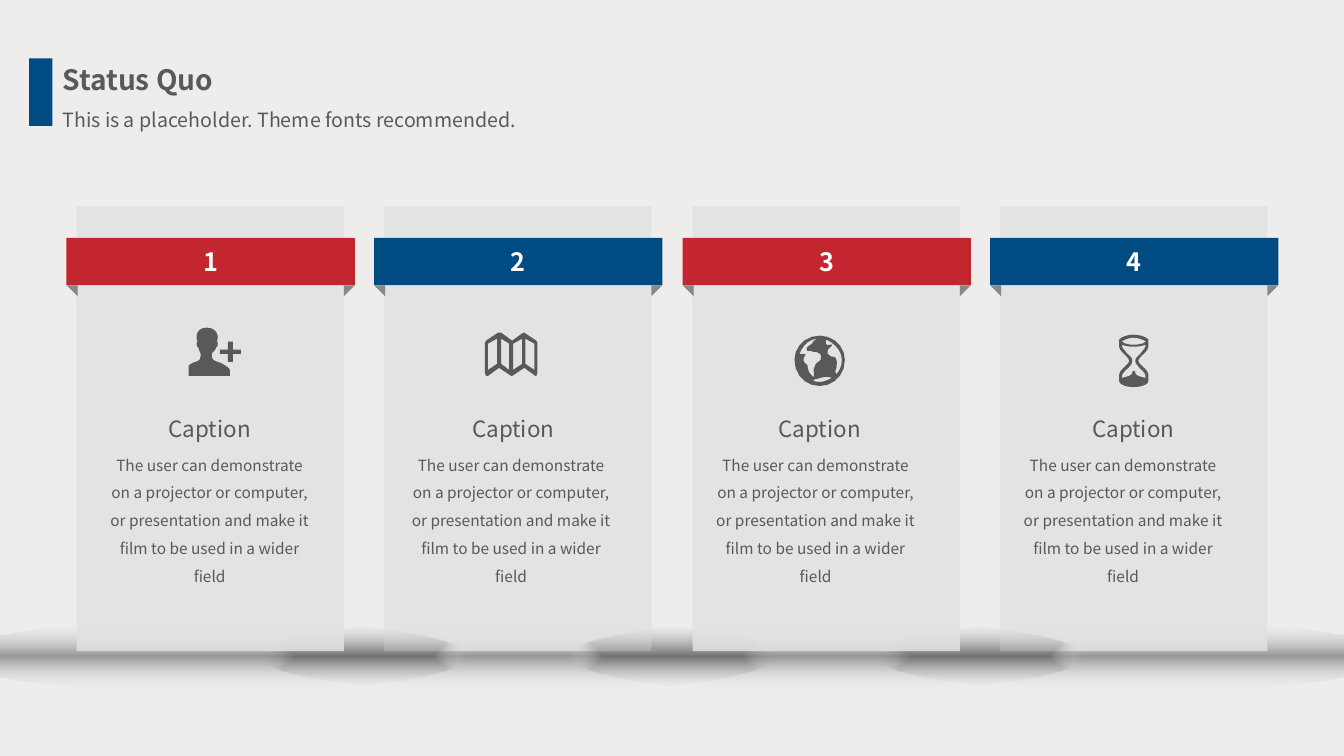
from lxml.etree import SubElement
from pptx import Presentation
from pptx.dml.color import RGBColor
from pptx.enum.shapes import MSO_SHAPE as SHAPE
from pptx.enum.text import MSO_ANCHOR as ANCHOR, PP_ALIGN as ALIGN
from pptx.oxml import parse_xml
from pptx.oxml.ns import nsdecls, qn
from pptx.util import Pt

PX = 9144
FONT = "Noto Sans CJK SC"
GRAY, BLUE, RED, WHITE = "595959", "004B82", "C3262F", "FFFFFF"
BODY = ("The user can demonstrate on a projector or computer, "
        "or presentation and make it film to be used in a wider field")
GLOW = f"""<a:gradFill {nsdecls('a')} rotWithShape="1"><a:gsLst>
<a:gs pos="0"><a:srgbClr val="595959"><a:alpha val="58000"/></a:srgbClr></a:gs>
<a:gs pos="100000"><a:srgbClr val="FCFCFC"><a:alpha val="0"/></a:srgbClr></a:gs>
</a:gsLst><a:path path="shape"><a:fillToRect l="50000" t="50000" r="50000" b="50000"/></a:path>
</a:gradFill>"""

person = [
    [(32, 35), (25, 33, 23, 32, 23, 27), (23, 24, 25, 25, 27, 21), (27, 18, 29, 21, 29, 16),
     (29, 14, 28, 14, 28, 14), (28, 14, 29, 12, 29, 9), (29, 7, 27, 0, 18, 0),
     (9, 0, 8, 7, 8, 9), (8, 12, 9, 14, 9, 14), (9, 14, 8, 14, 8, 16),
     (8, 21, 10, 18, 10, 21), (11, 25, 12, 24, 12, 27), (12, 32, 11, 33, 4, 35),
     (3, 36, 1, 36, 0, 38), (0, 48), (41, 48), (41, 48, 41, 44, 41, 42), (41, 41, 39, 39, 32, 35)],
    [(44, 22), (44, 14), (39, 14), (39, 22), (31, 22), (31, 26),
     (39, 26), (39, 34), (44, 34), (44, 26), (52, 26), (52, 22)],
]
folded_map = [
    [(51, 8), (39, 0), (38, 0), (27, 8), (16, 0), (13, 0), (1, 8), (0, 10), (0, 40), (1, 43),
     (3, 43), (14, 35), (26, 43), (27, 43), (39, 35), (50, 43), (51, 43), (52, 40), (52, 10)],
]
for left, right, rise in [(3, 12, 6), (16, 24, 0), (28, 37, 6), (40, 49, 0)]:
    folded_map.append([(left, 5 + rise + (rise == 0)), (right, 11 - (5 if rise else 0)),
                       (right, 31 if rise else 37), (left, 37 if rise else 31)])
globe = [
    [(25, 0), (11, 0, 0, 11, 0, 24), (0, 39, 11, 50, 25, 50),
     (39, 50, 50, 39, 50, 24), (50, 11, 39, 0, 25, 0)],
    [(47, 24), (47, 30, 45, 34, 42, 38), (41, 38, 40, 35, 41, 34), (42, 32, 42, 28, 42, 26),
     (42, 25, 41, 21, 39, 21), (37, 21, 36, 21, 33, 18), (31, 12, 39, 11, 37, 9),
     (36, 8, 31, 12, 31, 6), (31, 5, 31, 5, 32, 4), (40, 8, 47, 15, 47, 24)],
    [(22, 3), (21, 4, 20, 5, 19, 5), (18, 8, 17, 8, 16, 9), (14, 10, 12, 12, 12, 13),
     (12, 14, 13, 16, 14, 15), (14, 15, 17, 15, 18, 16), (20, 16, 29, 16, 26, 24),
     (25, 26, 21, 26, 20, 31), (20, 31, 19, 33, 19, 34), (19, 35, 20, 41, 19, 41),
     (18, 41, 14, 36, 14, 35), (14, 34, 13, 32, 13, 30), (13, 28, 9, 28, 9, 24),
     (9, 21, 11, 20, 11, 19), (10, 18, 7, 18, 5, 18), (8, 10, 14, 4, 22, 3)],
    [(18, 45), (20, 44, 20, 43, 21, 43), (22, 43, 23, 43, 25, 42), (26, 42, 29, 41, 31, 41),
     (32, 41, 36, 41, 37, 42), (33, 44, 29, 46, 25, 46), (22, 46, 20, 45, 18, 45)],
]
hourglass = [
    [(29, 12), (29, 6, 29, 5, 29, 5), (29, 4, 23, 0, 14, 0), (6, 0, 0, 4, 0, 5), (0, 12),
     (0, 17, 10, 22, 10, 26), (10, 30, 0, 34, 0, 40), (0, 46), (0, 49, 6, 52, 14, 52),
     (23, 52, 29, 49, 29, 46), (29, 40), (29, 34, 19, 30, 19, 26), (19, 22, 29, 17, 29, 12)],
    [(4, 6), (5, 5, 10, 3, 14, 3), (20, 3, 25, 6, 25, 6), (25, 6, 27, 6, 26, 7),
     (24, 9, 20, 10, 14, 10), (10, 10, 5, 9, 3, 7), (2, 6, 4, 6, 4, 6)],
    [(16, 26), (16, 29, 19, 31, 21, 34), (23, 35, 26, 39, 26, 40), (26, 43),
     (23, 42, 16, 41, 16, 38), (16, 35, 13, 35, 13, 38), (13, 41, 5, 42, 3, 43), (3, 40),
     (3, 39, 6, 35, 8, 34), (11, 31, 13, 29, 13, 26), (13, 23, 11, 21, 8, 19),
     (6, 16, 3, 13, 3, 12), (3, 10), (5, 11, 10, 12, 14, 12), (20, 12, 23, 11, 26, 10),
     (26, 12), (26, 13, 23, 16, 21, 19), (19, 21, 16, 23, 16, 26)],
]

prs = Presentation()
prs.slide_width, prs.slide_height = 1333 * PX, 750 * PX
s = prs.slides.add_slide(prs.slide_layouts[6])
s.background.fill.solid()
s.background.fill.fore_color.rgb = RGBColor.from_string("EEEDEB")


def add_box(kind, x, y, w, h, color, alpha=100):
    sp = s.shapes.add_shape(kind, x * PX, y * PX, w * PX, h * PX)
    sp.shadow.inherit = False
    sp.line.fill.background()
    sp.fill.solid()
    sp.fill.fore_color.rgb = RGBColor.from_string(color)
    if alpha < 100:
        clr = sp._element.spPr.find(".//" + qn("a:srgbClr"))
        SubElement(clr, qn("a:alpha")).set("val", str(alpha * 1000))
    return sp


def write(sp, text, size, color=GRAY, bold=False, align=ALIGN.CENTER, spacing=None):
    tf = sp.text_frame
    tf.word_wrap = True
    p = tf.paragraphs[0]
    p.text = text
    p.alignment = align
    p.line_spacing = spacing
    p.font.name = FONT
    p.font.size = Pt(size)
    p.font.bold = bold
    p.font.color.rgb = RGBColor.from_string(color)


cards = [
    (1, BLUE, folded_map, 100, 330, 37, 13),
    (0, RED, person, 111, 325, 41, 19),
    (3, BLUE, hourglass, 118, 332, 41, 9),
    (2, RED, globe, 101, 333, 35, 9),
]
for i, color, icon, icon_dx, icon_y, caption_dx, body_dx in cards:
    x = 76 + round(916 * i / 3)
    glow = add_box(SHAPE.OVAL, x - 123, 616, 511, 70, GRAY)
    spPr = glow._element.spPr
    spPr.replace(spPr.find(qn("a:solidFill")), parse_xml(GLOW))
    add_box(SHAPE.RECTANGLE, x, 205, 265, 441, "E2E2E2", 85)
    for fold_x, angle in [(x - 10, 180), (x + 265, 90)]:
        fold = add_box(SHAPE.RIGHT_TRIANGLE, fold_x, 283, 11, 11, "525252", 65)
        fold.rotation = angle
    banner = add_box(SHAPE.RECTANGLE, x - 10, 236, 286, 47, color)
    banner.text_frame.vertical_anchor = ANCHOR.MIDDLE
    write(banner, str(i + 1), 18, WHITE, True)
    caption = s.shapes.add_textbox((x + caption_dx) * PX, 407 * PX, 182 * PX, 37 * PX)
    write(caption, "Caption", 16)
    body = s.shapes.add_textbox((x + body_dx) * PX, 438 * PX, 226 * PX, 146 * PX)
    write(body, BODY, 11, spacing=1.5)

    builder = None
    for start, *segments in icon:
        points = [start]
        for seg in segments:
            if len(seg) == 2:
                points.append(seg)
                continue
            ax, ay = points[-1]
            bx, by, cx, cy, dx, dy = seg
            for t in (0.2, 0.4, 0.6, 0.8, 1):
                u = 1 - t
                points.append((
                    u**3 * ax + 3 * u * u * t * bx + 3 * u * t * t * cx + t**3 * dx,
                    u**3 * ay + 3 * u * u * t * by + 3 * u * t * t * cy + t**3 * dy))
        points = [(px * PX, py * PX) for px, py in points]
        if builder is None:
            builder = s.shapes.build_freeform(*points[0])
        else:
            builder.move_to(*points[0])
        builder.add_line_segments(points[1:], close=True)
    sp = builder.convert_to_shape((x + icon_dx) * PX, icon_y * PX)
    sp.shadow.inherit = False
    sp.line.fill.background()
    sp.fill.solid()
    sp.fill.fore_color.rgb = RGBColor.from_string(GRAY)

add_box(SHAPE.RECTANGLE, 29, 58, 23, 67, BLUE)
title = s.shapes.add_textbox(52 * PX, 57 * PX, 492 * PX, 44 * PX)
write(title, "Status Quo", 20, bold=True, align=ALIGN.LEFT)
subtitle = s.shapes.add_textbox(52 * PX, 90 * PX, 668 * PX, 38 * PX)
write(subtitle, "This is a placeholder. Theme fonts recommended.", 14, align=ALIGN.LEFT, spacing=1.5)

prs.save("out.pptx")
